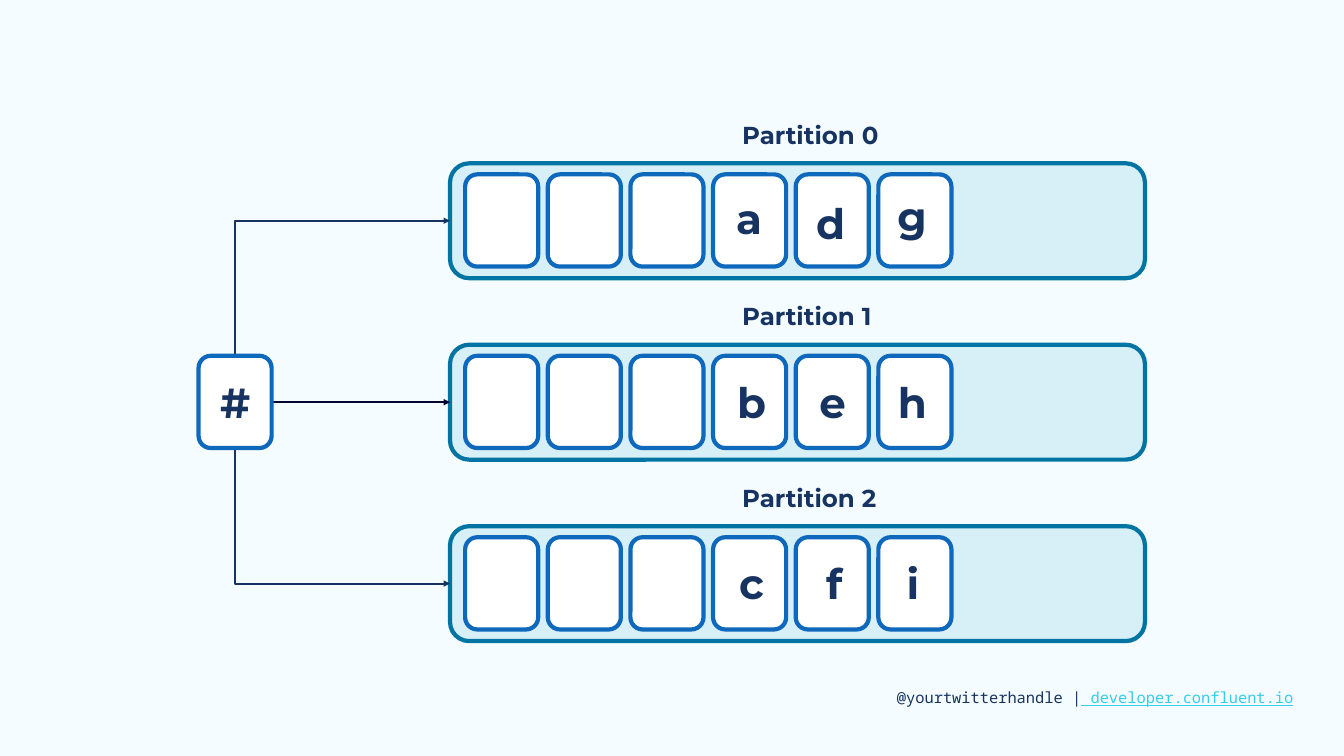
from dataclasses import dataclass

from lxml import etree
from pptx import Presentation
from pptx.dml.color import RGBColor
from pptx.enum.shapes import MSO_CONNECTOR as Connector, MSO_SHAPE as Shape
from pptx.enum.text import MSO_AUTO_SIZE as AutoSize, PP_ALIGN as Align
from pptx.oxml.ns import qn
from pptx.util import Emu, Pt

PX = 9144  # EMU per px, 100 px to the inch


@dataclass(frozen=True)
class Theme:
    background: str = "F4FCFF"
    ink: str = "173361"
    dark_ink: str = "040531"
    lane_fill: str = "D7EFF6"
    lane_line: str = "0074A2"
    card_fill: str = "FFFFFF"
    card_line: str = "0E68BC"
    link: str = "38CCED"
    heading_font: str = "Montserrat"
    mono_font: str = "Noto Sans Mono"
    letter_size: int = 60
    title_size: int = 35
    footer_size: int = 22
    outline: int = 6
    arrow: int = 3


THEME = Theme()

# Partition lanes and the cards in them
LANE_LEFT, LANE_TOP, LANE_WIDTH, LANE_HEIGHT, LANE_STEP = 893, 324, 1379, 228, 360
CARD_LEFT, CARD_INSET, CARD_WIDTH, CARD_HEIGHT, CARD_STEP = 923, 22, 145, 183, 164
EMPTY_CARDS = 3
HASH_LEFT, HASH_TOP = 394, 706

# Each letter with its offset inside the card
PARTITIONS = [
    [("a", 32, 26), ("d", 30, 35), ("g", 28, 21)],
    [("b", 37, 32), ("e", 37, 32), ("h", 29, 32)],
    [("c", 37, 31), ("f", 37, 31), ("i", 29, 31)],
]
LEFT_ALIGNED = "#egh"


def px(*lengths):
    return [Emu(length * PX) for length in lengths]


def rgb(color):
    return RGBColor.from_string(color)


def add_box(shapes, kind, box, fill, line):
    shape = shapes.add_shape(kind, *px(*box))
    shape.shadow.inherit = False
    shape.fill.solid()
    shape.fill.fore_color.rgb = rgb(fill)
    shape.line.color.rgb = rgb(line)
    shape.line.width = Pt(THEME.outline)


def add_text(shapes, box, text, font, size, bold=False, align=Align.LEFT):
    text_box = shapes.add_textbox(*px(*box))
    frame = text_box.text_frame
    frame.word_wrap = True
    frame.auto_size = AutoSize.SHAPE_TO_FIT_TEXT
    frame.margin_left, frame.margin_top, frame.margin_right, frame.margin_bottom = px(10, 10, 10, 10)
    paragraph = frame.paragraphs[0]
    paragraph.alignment = align
    paragraph.font.name = font
    paragraph.font.size = Pt(size)
    paragraph.font.bold = bold
    paragraph.font.color.rgb = rgb(THEME.ink)
    paragraph.add_run().text = text
    return paragraph


def add_card(shapes, left, top):
    add_box(shapes, Shape.ROUNDED_RECTANGLE, (left, top, CARD_WIDTH, CARD_HEIGHT),
            THEME.card_fill, THEME.card_line)


def add_letter_card(slide, left, top, letter, dx, dy):
    shapes = slide.shapes.add_group_shape().shapes
    add_card(shapes, left, top)
    align = Align.LEFT if letter in LEFT_ALIGNED else Align.CENTER
    add_text(shapes, (left + dx, top + dy, 79, 121), letter,
             THEME.heading_font, THEME.letter_size, True, align)


def add_arrow(slide, kind, start, end, color):
    connector = slide.shapes.add_connector(kind, *px(*start, *end))
    connector.line.color.rgb = rgb(color)
    connector.line.width = Pt(THEME.arrow)
    etree.SubElement(connector.line._get_or_add_ln(), qn("a:tailEnd"), type="triangle")
    etree.SubElement(connector._element.spPr, qn("a:effectLst"))
    return connector


def add_corner_arrow(slide, start, end):
    """Arrow that leaves vertically and arrives horizontally."""
    (x1, y1), (x2, y2) = start, end
    center_x, center_y = (x1 + x2) // 2, (y1 + y2) // 2
    # The preset runs across, then down: lay it out unturned, then turn it by 270 degrees
    half_width, half_height = (y1 - y2) // 2, (x2 - x1) // 2
    connector = add_arrow(slide, Connector.ELBOW,
                          (center_x - half_width, center_y - half_height),
                          (center_x + half_width, center_y + half_height), THEME.ink)
    properties = connector._element.spPr
    properties.find(qn("a:xfrm")).set("rot", str(270 * 60000))
    properties.find(qn("a:prstGeom")).set("prst", "bentConnector2")


def add_partition(slide, row, letters):
    lane_top = LANE_TOP + row * LANE_STEP
    add_box(slide.shapes, Shape.FLOWCHART_ALTERNATE_PROCESS,
            (LANE_LEFT, lane_top, LANE_WIDTH, LANE_HEIGHT), THEME.lane_fill, THEME.lane_line)
    add_text(slide.shapes, (1463, lane_top - 96, 306, 79), f"Partition {row}",
             THEME.heading_font, THEME.title_size, True)
    card_top = lane_top + CARD_INSET
    for column in range(EMPTY_CARDS):
        add_card(slide.shapes, CARD_LEFT + column * CARD_STEP, card_top)
    for column, letter in enumerate(letters, EMPTY_CARDS):
        add_letter_card(slide, CARD_LEFT + column * CARD_STEP, card_top, *letter)


def add_hash_routes(slide):
    middle = HASH_LEFT + CARD_WIDTH // 2 + 1
    top, middle_lane, bottom = (
        (LANE_LEFT, LANE_TOP + LANE_HEIGHT // 2 + row * LANE_STEP) for row in range(3))
    add_corner_arrow(slide, (middle, HASH_TOP + CARD_HEIGHT), bottom)
    add_corner_arrow(slide, (middle, HASH_TOP), top)
    add_arrow(slide, Connector.STRAIGHT, (HASH_LEFT + CARD_WIDTH, middle_lane[1]),
              middle_lane, THEME.dark_ink)
    add_letter_card(slide, HASH_LEFT, HASH_TOP, "#", 33, 32)


def add_footer(slide):
    paragraph = add_text(slide.shapes, (1770, 1356, 814, 57), "@yourtwitterhandle |",
                         THEME.mono_font, THEME.footer_size)
    address = paragraph.add_run()
    address.text = " developer.confluent.io"
    address.font.color.rgb = rgb(THEME.link)
    address.font.underline = True


def main():
    presentation = Presentation()
    presentation.slide_width, presentation.slide_height = px(2667, 1500)
    slide = presentation.slides.add_slide(presentation.slide_layouts[6])
    slide.background.fill.solid()
    slide.background.fill.fore_color.rgb = rgb(THEME.background)

    add_footer(slide)
    for row, letters in enumerate(PARTITIONS):
        add_partition(slide, row, letters)
    add_hash_routes(slide)
    presentation.save("out.pptx")


if __name__ == "__main__":
    main()
